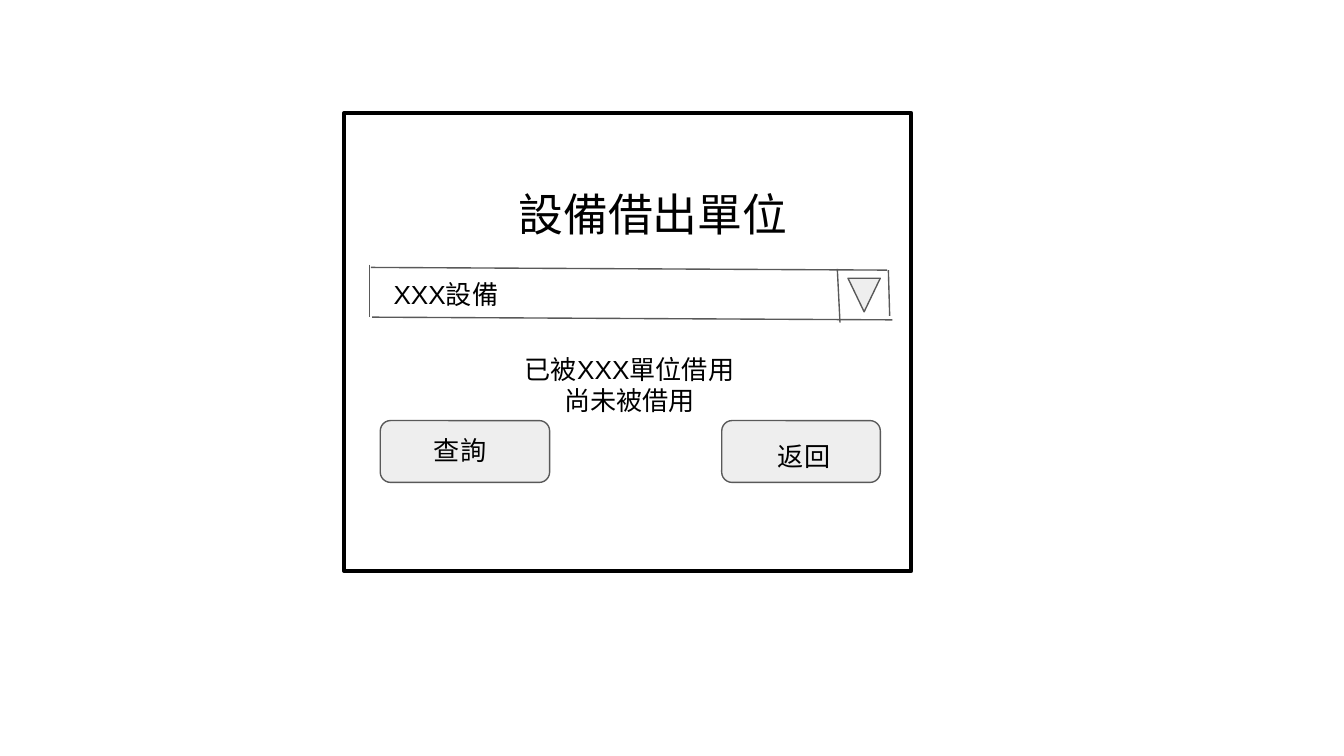
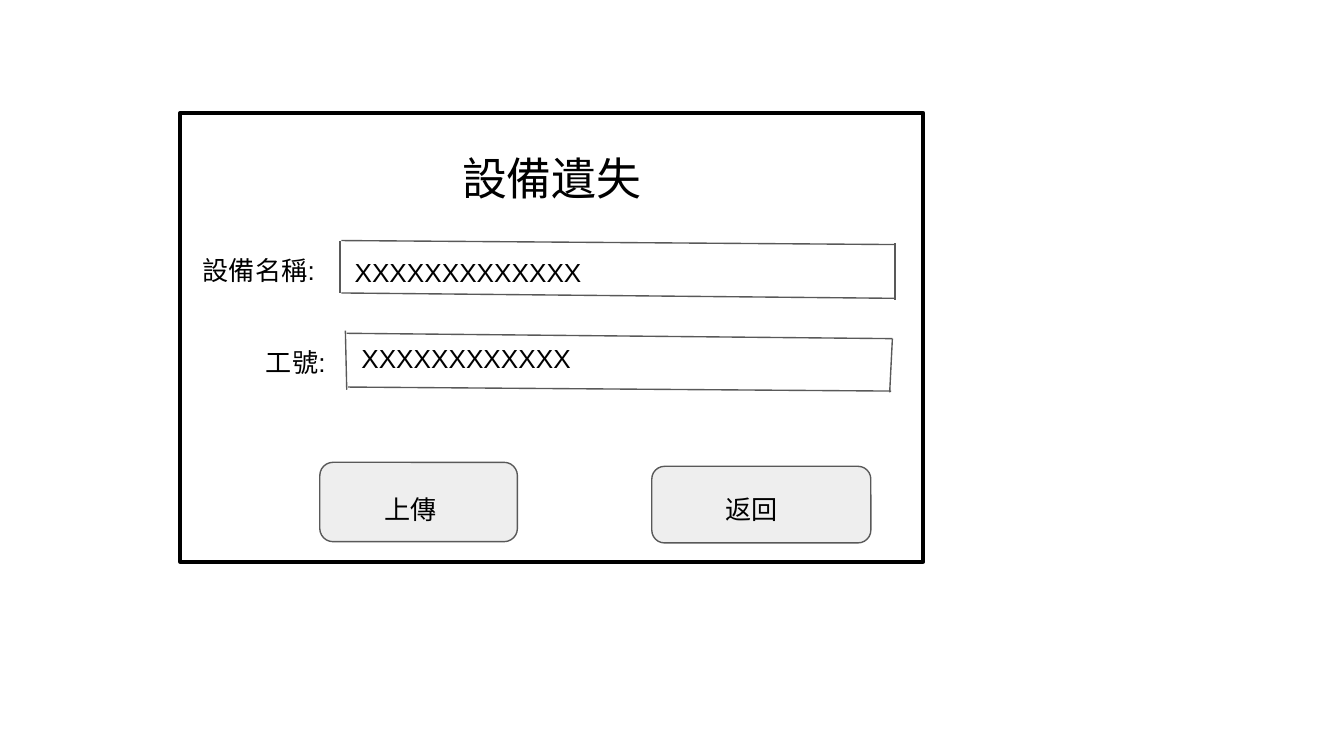
import pptx
import pptx.dml.color
import pptx.enum.shapes
import pptx.enum.text
import pptx.oxml.ns
import pptx.util
from lxml import etree

Inches = pptx.util.Inches
SHAPES = pptx.enum.shapes.MSO_SHAPE
ALIGN = pptx.enum.text.PP_ALIGN

FONT = "Arial"
INK, OUTLINE, BUTTON = "000000", "595959", "EEEEEE"
TITLE_SIZE, BODY_SIZE = 24, 14
LEFT, CENTER = ALIGN.LEFT, ALIGN.CENTER

# Boxes are (left, top, width, height) and strokes (x1, y1, x2, y2), in inches.
# Texts are (lines, box, size, alignment).
SCREENS = [
    {
        "window": (2.56, 0.84, 4.22, 3.41),
        "strokes": [
            (2.75, 1.97, 2.75, 2.36),
            (2.76, 1.99, 6.6, 2.01),
            (2.77, 2.36, 6.64, 2.38),
            (6.61, 2.01, 6.62, 2.35),
            (6.23, 2, 6.25, 2.4),
        ],
        "arrows": [(6.31, 2.07, 0.24, 0.25)],
        "buttons": [(2.83, 3.13, 1.26, 0.46), (5.37, 3.13, 1.18, 0.46)],
        "texts": [
            (["設備借出單位"], (3.76, 1.29, 4.82, 1.15), TITLE_SIZE, LEFT),
            (["XXX設備"], (2.83, 1.97, 3.17, 0.25), BODY_SIZE, LEFT),
            (["查詢"], (3.13, 3.13, 1.1, 0.34), BODY_SIZE, LEFT),
            (["返回"], (5.69, 3.18, 1.1, 0.25), BODY_SIZE, LEFT),
            (["已被XXX單位借用", "尚未被借用"], (2.76, 2.53, 3.85, 0.34),
             BODY_SIZE, CENTER),
        ],
    },
    {
        "window": (1.34, 0.84, 5.53, 3.34),
        "strokes": [
            (2.53, 1.79, 2.53, 2.18),
            (2.54, 1.79, 6.66, 1.82),
            (2.54, 2.18, 6.66, 2.22),
            (6.66, 1.81, 6.66, 2.23),
            (2.57, 2.46, 2.58, 2.9),
            (2.58, 2.48, 6.64, 2.52),
            (2.59, 2.88, 6.63, 2.91),
            (6.64, 2.52, 6.62, 2.92),
        ],
        "arrows": [],
        "buttons": [(2.38, 3.44, 1.47, 0.59), (4.85, 3.47, 1.63, 0.57)],
        "texts": [
            (["設備遺失"], (1.34, 1.02, 5.53, 0.74), TITLE_SIZE, CENTER),
            (["設備名稱:"], (1.41, 1.79, 1.21, 0.38), BODY_SIZE, LEFT),
            (["XXXXXXXXXXXXX"], (2.54, 1.81, 3.93, 0.31), BODY_SIZE, LEFT),
            (["工號:"], (1.88, 2.48, 0.88, 0.41), BODY_SIZE, LEFT),
            (["XXXXXXXXXXXX"], (2.59, 2.45, 2.29, 0.38), BODY_SIZE, LEFT),
            (["上傳"], (2.76, 3.57, 1.07, 0.38), BODY_SIZE, LEFT),
            (["返回"], (5.3, 3.57, 1.33, 0.42), BODY_SIZE, LEFT),
        ],
    },
]


def color(value):
    return pptx.dml.color.RGBColor.from_string(value)


def inches(values):
    return [Inches(value) for value in values]


def set_line(item, value, width):
    item.line.color.rgb = color(value)
    item.line.width = pptx.util.Pt(width)


def add_shape(page, kind, box, fill=None, line=OUTLINE, width=0.75):
    shape = page.shapes.add_shape(kind, *inches(box))
    shape.shadow.inherit = False
    if fill:
        shape.fill.solid()
        shape.fill.fore_color.rgb = color(fill)
    else:
        shape.fill.background()
    set_line(shape, line, width)


def add_stroke(page, ends):
    stroke = page.shapes.add_connector(
        pptx.enum.shapes.MSO_CONNECTOR.STRAIGHT, *inches(ends))
    set_line(stroke, OUTLINE, 0.75)
    etree.SubElement(stroke._element.spPr, pptx.oxml.ns.qn("a:effectLst"))


def add_text(page, lines, box, size, alignment):
    frame = page.shapes.add_textbox(*inches(box)).text_frame
    frame.word_wrap = True
    for side in ("left", "top", "right", "bottom"):
        setattr(frame, f"margin_{side}", Inches(0.1))
    frame.text = "\n".join(lines)
    style = {"name": FONT, "size": pptx.util.Pt(size)}
    for para in frame.paragraphs:
        para.alignment = alignment
        for span in para.runs:
            for name, value in style.items():
                setattr(span.font, name, value)
            span.font.color.rgb = color(INK)


def add_screen(deck, screen):
    page = deck.slides.add_slide(deck.slide_layouts[6])
    for ends in screen["strokes"]:
        add_stroke(page, ends)
    for box in screen["arrows"]:
        add_shape(page, SHAPES.FLOWCHART_MERGE, box, BUTTON)
    for box in screen["buttons"]:
        add_shape(page, SHAPES.ROUNDED_RECTANGLE, box, BUTTON)
    for text in screen["texts"]:
        add_text(page, *text)
    add_shape(page, SHAPES.RECTANGLE, screen["window"], line=INK, width=2)


def main():
    deck = pptx.Presentation()
    deck.slide_width = Inches(10)
    deck.slide_height = deck.slide_width * 9 // 16
    for screen in SCREENS:
        add_screen(deck, screen)
    deck.save("out.pptx")


if __name__ == "__main__":
    main()
